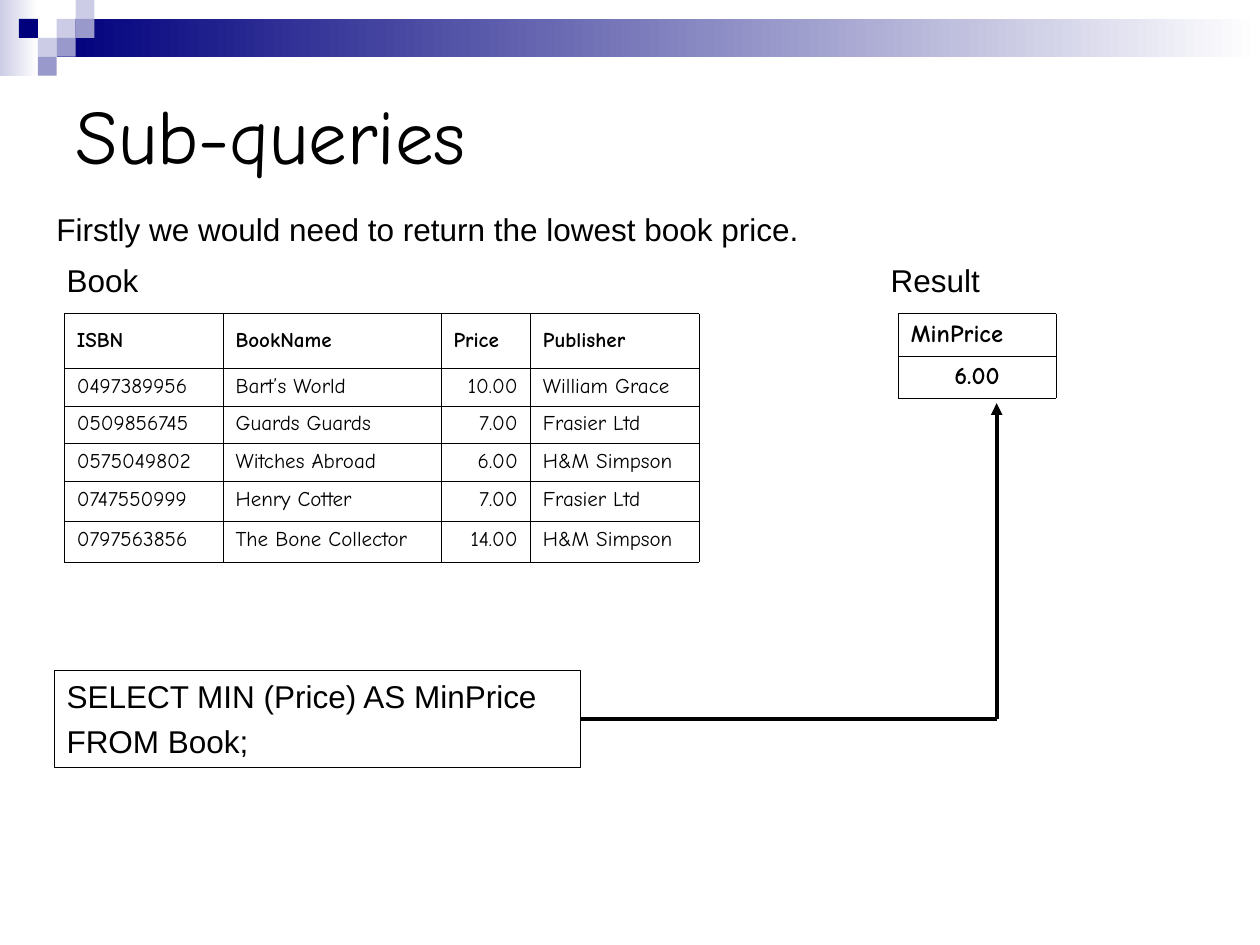
from lxml import etree
from pptx import Presentation
from pptx.dml.color import RGBColor
from pptx.enum.shapes import MSO_CONNECTOR, MSO_SHAPE
from pptx.enum.text import MSO_ANCHOR, PP_ALIGN
from pptx.oxml.ns import qn
from pptx.util import Inches, Pt

LEFT, CENTER, RIGHT = PP_ALIGN.LEFT, PP_ALIGN.CENTER, PP_ALIGN.RIGHT
TOP, MIDDLE = MSO_ANCHOR.TOP, MSO_ANCHOR.MIDDLE
RECT, STRAIGHT = MSO_SHAPE.RECTANGLE, MSO_CONNECTOR.STRAIGHT
WIDTH, HEIGHT = Inches(10), Inches(7.5)
BODY, HAND = "Arial", "Comic Neue"
BLACK, WHITE, NAVY, LILAC, PALE = "000000", "FFFFFF", "00007D", "9999CC", "CCCCE6"
BOOKS = [
    ["ISBN", "BookName", "Price", "Publisher"],
    ["0497389956", "Bart’s World", "10.00", "William Grace"],
    ["0509856745", "Guards Guards", "7.00", "Frasier Ltd"],
    ["0575049802", "Witches Abroad", "6.00", "H&M Simpson"],
    ["0747550999", "Henry Cotter", "7.00", "Frasier Ltd"],
    ["0797563856", "The Bone Collector", "14.00", "H&M Simpson"],
]


def color(hex_string):
    """Turn a hex string into a colour."""
    return RGBColor.from_string(hex_string)


def place(*box):
    """Turn percentages of the slide's width and height into lengths."""
    return [int(v * side / 100) for v, side in zip(box, (WIDTH, HEIGHT) * 2)]


def write(tf, text, font=BODY, size=18, bold=False, align=LEFT, anchor=TOP, gap=0):
    """Fill a text frame, one paragraph for each line of text."""
    tf.word_wrap = True
    tf.vertical_anchor = anchor
    for i, line in enumerate(text.split("\n")):
        p = tf.add_paragraph() if i else tf.paragraphs[0]
        p.alignment = align
        p.space_before = Pt(gap if i else 0)
        r = p.add_run()
        r.text = line
        r.font.name, r.font.size, r.font.bold = font, Pt(size), bold
        r.font.color.rgb = color(BLACK)


def add_rect(s, box, *fills):
    """Draw a rectangle with no fill, one colour or a left to right gradient."""
    sp = s.shapes.add_shape(RECT, *box)
    sp.shadow.inherit = False
    sp.line.fill.background()
    if len(fills) == 2:
        sp.fill.gradient()
        sp.fill.gradient_angle = 0
        for stop, fill, position in zip(sp.fill.gradient_stops, fills, (0, 1)):
            stop.color.rgb, stop.position = color(fill), position
    elif fills:
        sp.fill.solid()
        sp.fill.fore_color.rgb = color(fills[0])
    else:
        sp.fill.background()
    return sp


def add_banner(s, box):
    """Draw the fading bar and its mosaic of squares on a grid of four rows."""
    x, y, w, h = box
    unit = h // 4
    add_rect(s, (x, y, 2 * unit, h), PALE, WHITE)
    add_rect(s, (x + 3 * unit, y + unit, w - 3 * unit, 2 * unit), NAVY, WHITE)
    squares = [(3, 1, PALE), (4, 0, PALE), (4, 1, LILAC), (2, 2, PALE),
               (1, 1, NAVY), (3, 2, LILAC), (2, 3, LILAC)]
    for col, row, fill in squares:
        add_rect(s, (x + col * unit, y + row * unit, unit, unit), fill)


def add_title(s, box, text):
    """Move the title placeholder into the box and fill it."""
    sp = s.shapes.title
    sp.left, sp.top, sp.width, sp.height = box
    write(sp.text_frame, text, font=HAND, size=44, anchor=MIDDLE)


def add_label(s, box, text):
    """Write a line of plain text."""
    write(s.shapes.add_textbox(*box).text_frame, text)


def add_query(s, box, text):
    """Write a query in an outlined box."""
    sp = add_rect(s, box)
    sp.line.color.rgb, sp.line.width = color(BLACK), Pt(0.75)
    write(sp.text_frame, text, gap=4.5)
    return sp


def add_borders(cell):
    """Give a cell thin black borders on all sides."""
    tc_pr = cell._tc.get_or_add_tcPr()
    for i, side in enumerate(("a:lnL", "a:lnR", "a:lnT", "a:lnB")):
        ln = etree.Element(qn(side), w=str(Pt(0.34)))
        fill = etree.SubElement(ln, qn("a:solidFill"))
        etree.SubElement(fill, qn("a:srgbClr"), val=BLACK)
        tc_pr.insert(i, ln)


def add_grid(s, box, rows, widths, heights, aligns, size, bold_body=False):
    """Draw a table whose columns and rows share the box by weight."""
    tbl = s.shapes.add_table(len(rows), len(widths), *box).table
    tbl.first_row = tbl.horz_banding = False
    for col, weight in zip(tbl.columns, widths):
        col.width = int(box[2] * weight / sum(widths))
    for row, weight in zip(tbl.rows, heights):
        row.height = int(box[3] * weight / sum(heights))
    for i, values in enumerate(rows):
        for j, value in enumerate(values):
            cell = tbl.cell(i, j)
            if i:
                cell.fill.solid()
                cell.fill.fore_color.rgb = color(WHITE)
            else:
                cell.fill.background()
            cell.vertical_anchor = TOP if i else MIDDLE
            write(cell.text_frame, value, font=HAND, size=size,
                  bold=bold_body or not i, align=aligns[j] if i else LEFT,
                  anchor=None)
            add_borders(cell)


def add_line(s, start, end, source=None, arrow=False):
    """Draw a thick line, joined to the right side of a source if given."""
    c = s.shapes.add_connector(STRAIGHT, *place(*start), *place(*end))
    if source is not None:
        c.begin_connect(source, 3)
    c.line.color.rgb, c.line.width = color(BLACK), Pt(2.25)
    if arrow:
        etree.SubElement(c.line._get_or_add_ln(), qn("a:tailEnd"), type="triangle")
    etree.SubElement(c._element.spPr, qn("a:effectLst"))


def main():
    """Build the sub-queries slide."""
    prs = Presentation()
    prs.slide_width, prs.slide_height = WIDTH, HEIGHT
    s = prs.slides.add_slide(prs.slide_layouts[5])
    add_banner(s, place(0, 0, 100, 8))
    add_title(s, place(5, 6.67, 90, 14.93), "Sub-queries")
    add_label(s, place(3.5, 21.6, 93.7, 5.33),
              "Firstly we would need to return the lowest book price.")
    add_label(s, place(4.3, 26.93, 29.1, 5.33), "Book")
    add_label(s, place(69.7, 26.93, 11.8, 5.33), "Result")
    add_grid(s, place(5.1, 33.2, 50.4, 26.27), BOOKS, (1.26, 1.73, 0.71, 1.34),
             (0.43, 0.3, 0.3, 0.3, 0.32, 0.32), (LEFT, LEFT, RIGHT, LEFT), 12)
    add_grid(s, place(71.3, 33.2, 12.5, 8.93), [["MinPrice"], ["6.00"]],
             (1,), (1, 1), (CENTER,), 14, bold_body=True)
    query = add_query(s, place(4.3, 70.95, 41.8, 10.3),
                      "SELECT MIN (Price) AS MinPrice\nFROM Book;")
    corner = (79.1, 76.1)
    add_line(s, (46.1, 76.1), corner, source=query)
    add_line(s, corner, (79.1, 42.67), arrow=True)
    prs.save("out.pptx")


if __name__ == "__main__":
    main()
